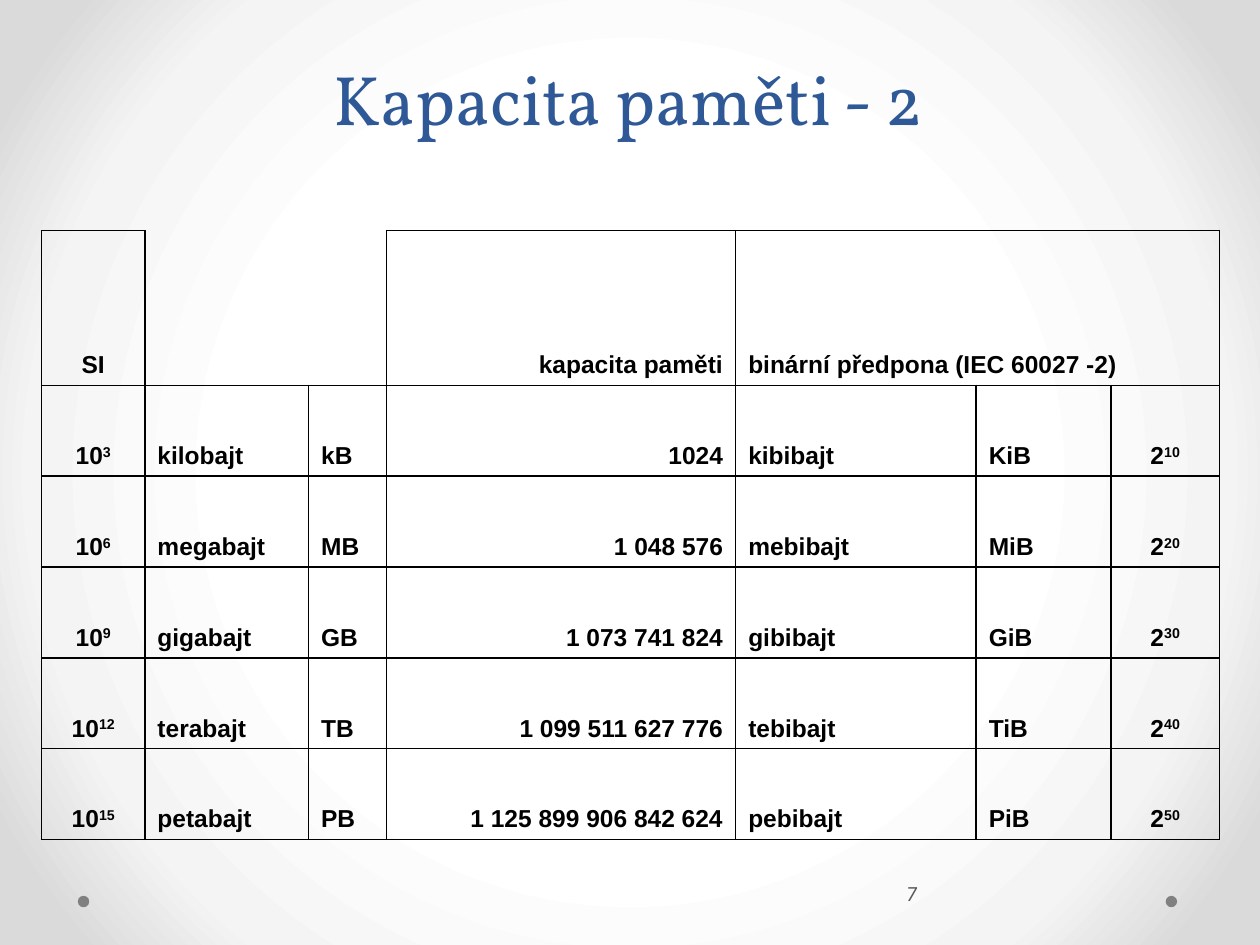
from lxml import etree
from pptx import Presentation
from pptx import util as u
from pptx.dml.color import RGBColor
from pptx.enum import shapes, text
from pptx.oxml import parse_xml
from pptx.oxml.ns import nsdecls, qn

COLOURS = {"title": "2F5897", "ink": "000000", "page": "595959", "dot": "808080"}
BACKDROP = {50: "FFFFFF", 76: "F4F4F4", 92: "DADADA"}
LEFT, CENTRE, RIGHT = text.PP_ALIGN.LEFT, text.PP_ALIGN.CENTER, text.PP_ALIGN.RIGHT
ALIGNMENTS = [CENTRE, LEFT, LEFT, RIGHT, LEFT, LEFT, CENTRE]
WIDTHS = [2.08, 3.3, 1.57, 7.04, 4.85, 2.72, 2.18]
HEIGHTS = [3.12] + [1.83] * 5
HEADINGS = ["SI", "", "", "kapacita paměti", "binární předpona (IEC 60027 -2)", "", ""]
UNITS = [
    ("kilobajt", "kB", "1024", "kibibajt", "KiB"),
    ("megabajt", "MB", "1 048 576", "mebibajt", "MiB"),
    ("gigabajt", "GB", "1 073 741 824", "gibibajt", "GiB"),
    ("terabajt", "TB", "1 099 511 627 776", "tebibajt", "TiB"),
    ("petabajt", "PB", "1 125 899 906 842 624", "pebibajt", "PiB"),
]


class Sheet:
    """Holds the style and the current slide."""

    def __init__(self, slide):
        self.slide = slide

    def backdrop(self, stops):
        fill = self.slide.background.fill
        fill.gradient()
        gradient = self.slide.background._cSld.find(".//" + qn("a:gradFill"))
        for child in list(gradient):
            gradient.remove(child)
        colours = "".join(
            f'<a:gs pos="{place * 1000}"><a:srgbClr val="{colour}"/></a:gs>'
            for place, colour in stops.items()
        )
        gradient.append(parse_xml(f'<a:gsLst {nsdecls("a")}>{colours}</a:gsLst>'))
        gradient.append(parse_xml(
            f'<a:path {nsdecls("a")} path="circle">'
            '<a:fillToRect l="50000" t="50000" r="50000" b="50000"/></a:path>'
        ))

    def dot(self, left, top, size):
        dot = self.slide.shapes.add_shape(
            shapes.MSO_SHAPE.OVAL, u.Cm(left), u.Cm(top), u.Cm(size), u.Cm(size))
        dot.shadow.inherit = False
        dot.fill.solid()
        dot.fill.fore_color.rgb = RGBColor.from_string(COLOURS["dot"])
        dot.line.fill.background()

    def run(self, paragraph, words, size, font, colour, bold=False, raised=False):
        run = paragraph.add_run()
        run.text = words
        run.font.size = u.Pt(size)
        run.font.name = font
        run.font.bold = bold
        run.font.color.rgb = RGBColor.from_string(COLOURS[colour])
        if raised:
            run.font._element.set("baseline", "30000")

    def label(self, box, words, size, font, colour, anchor, align=LEFT, spacing=None):
        frame = self.slide.shapes.add_textbox(*map(u.Cm, box)).text_frame
        frame.word_wrap = True
        frame.vertical_anchor = anchor
        paragraph = frame.paragraphs[0]
        paragraph.alignment = align
        if spacing:
            paragraph.line_spacing = u.Pt(spacing)
        self.run(paragraph, words, size, font, colour)
        return frame

    def border(self, cell, visible):
        properties = cell._tc.get_or_add_tcPr()
        for side in "LRTB":
            line = etree.SubElement(properties, qn(f"a:ln{side}"), w=str(u.Pt(1)))
            if side in visible:
                fill = etree.SubElement(line, qn("a:solidFill"))
                etree.SubElement(fill, qn("a:srgbClr"), val=COLOURS["ink"])
            else:
                etree.SubElement(line, qn("a:noFill"))

    def cell(self, cell, content, align, visible):
        self.border(cell, visible)
        cell.fill.background()
        cell.vertical_anchor = text.MSO_ANCHOR.BOTTOM
        paragraph = cell.text_frame.paragraphs[0]
        paragraph.alignment = align
        indent = u.Cm(0.97)
        properties = paragraph._p.get_or_add_pPr()
        properties.set("marL", str(indent))
        properties.set("indent", str(-indent))
        parts = content if isinstance(content, tuple) else (content,)
        for level, words in enumerate(parts):
            if words:
                self.run(paragraph, words, 14, "Arial", "ink", True, level == 1)

    def table(self, left, top, rows):
        table = self.slide.shapes.add_table(
            len(rows), len(WIDTHS), u.Cm(left), u.Cm(top),
            u.Cm(sum(WIDTHS)), u.Cm(sum(HEIGHTS))).table
        table.first_row = table.horz_banding = False
        for column, width in zip(table.columns, WIDTHS):
            column.width = u.Cm(width)
        for row, height in zip(table.rows, HEIGHTS):
            row.height = u.Cm(height)
        open_sides = {(0, 1): "LB", (0, 2): "RB"}
        for r, contents in enumerate(rows):
            for c, content in enumerate(contents):
                align = LEFT if (r, c) == (0, 4) else ALIGNMENTS[c]
                self.cell(table.cell(r, c), content, align, open_sides.get((r, c), "LRTB"))
        table.cell(0, 4).merge(table.cell(0, 6))


def main():
    deck = Presentation()
    deck.slide_width, deck.slide_height = u.Cm(25.4), u.Cm(19.05)
    sheet = Sheet(deck.slides.add_slide(deck.slide_layouts[6]))
    sheet.backdrop(BACKDROP)
    for left in (23.5, 1.57):
        sheet.dot(left, 18.06, 0.23)
    sheet.label((0.84, 0.64, 23.65, 2.29), "Kapacita paměti - 2", 40, "Vollkorn",
                "title", text.MSO_ANCHOR.BOTTOM, CENTRE, 58)
    powers = [
        [("10", str(3 * n)), *unit, ("2", str(10 * n))]
        for n, unit in enumerate(UNITS, 1)
    ]
    sheet.table(0.84, 4.65, [HEADINGS] + powers)
    page = sheet.label((18.21, 17.35, 6.35, 1.32), "7", 12, "League Spartan",
                       "page", text.MSO_ANCHOR.MIDDLE)
    page.margin_left = u.Cm(0.08)
    page.margin_right = u.Cm(0.13)
    deck.save("out.pptx")


if __name__ == "__main__":
    main()
